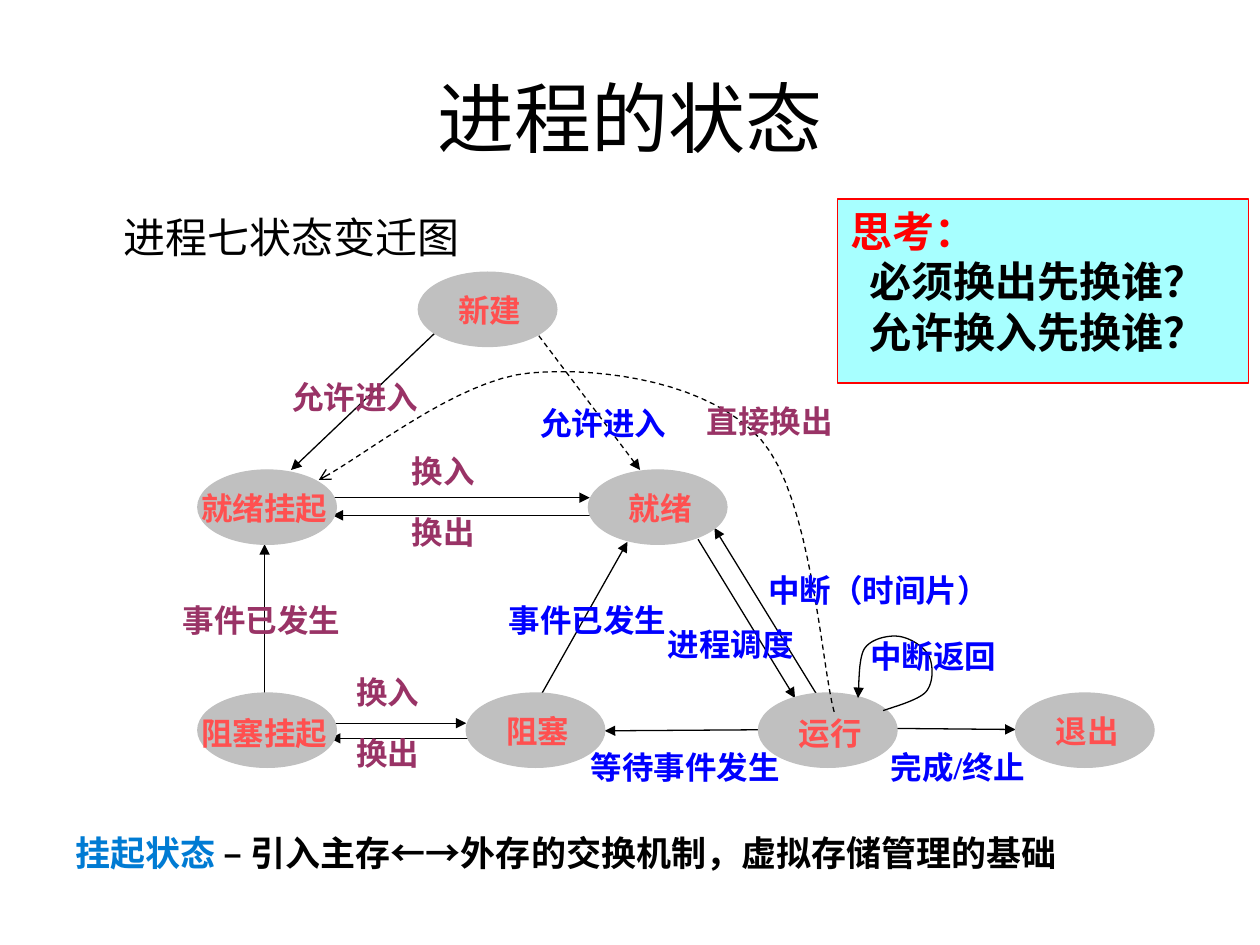
from dataclasses import dataclass

from lxml import etree
from pptx import Presentation
from pptx.dml.color import RGBColor
from pptx.enum.dml import MSO_LINE
from pptx.enum.shapes import MSO_CONNECTOR, MSO_SHAPE
from pptx.enum.text import MSO_ANCHOR, PP_ALIGN
from pptx.oxml.ns import qn
from pptx.util import Inches, Pt

DASH = MSO_LINE.DASH
STRAIGHT = MSO_CONNECTOR.STRAIGHT
OVAL, RECT = MSO_SHAPE.OVAL, MSO_SHAPE.RECTANGLE
TOP, MIDDLE = MSO_ANCHOR.TOP, MSO_ANCHOR.MIDDLE
LEFT, CENTER, JUSTIFY = PP_ALIGN.LEFT, PP_ALIGN.CENTER, PP_ALIGN.JUSTIFY

HUES = {
    "black": "000000", "gray": "C0C0C0", "plum": "993366", "blue": "0000FF",
    "coral": "FF5050", "red": "FF0000", "aqua": "A7FFFF", "sky": "007BD3",
}
SERIF, SANS, HAN = "Times New Roman", "Roboto", "Noto Sans CJK SC"
WIDE, HIGH = 1.1, 0.59
STEPS = 16

Point = tuple[float, float]


@dataclass
class State:
    name: str
    x: float
    y: float
    drop: float = 0.1


@dataclass
class Arrow:
    start: Point
    end: Point
    dash: bool = False


@dataclass
class Label:
    text: str
    x: float
    y: float
    wide: float
    hue: str


@dataclass
class Curve:
    points: list[Point]
    head: str
    dash: bool = False


STATES = [
    State("新建", 3.32, 2.16),
    State("就绪挂起", 1.57, 3.73),
    State("就绪", 4.67, 3.73),
    State("阻塞挂起", 1.57, 5.5, 0.12),
    State("阻塞", 3.7, 5.5),
    State("运行", 6.02, 5.5, 0.12),
    State("退出", 8.06, 5.5),
]
ARROWS = [
    Arrow((5.05, 4.09), (2.64, 4.09)),
    Arrow((2.59, 3.95), (4.68, 3.95)),
    Arrow((3.76, 2.35), (2.31, 3.73)),
    Arrow((2.39, 5.74), (3.7, 5.74)),
    Arrow((3.94, 5.86), (2.62, 5.86)),
    Arrow((2.1, 5.5), (2.1, 4.32)),
    Arrow((4.19, 2.55), (5.08, 3.73), True),
    Arrow((4.19, 5.7), (4.98, 4.3)),
    Arrow((5.54, 4.28), (6.31, 5.54)),
    Arrow((6.53, 5.59), (5.67, 4.19)),
    Arrow((6.33, 5.79), (4.8, 5.8)),
    Arrow((6.97, 5.78), (8.06, 5.79)),
]
LABELS = [
    Label("事件已发生", 1.35, 4.72, 1.75, "plum"),
    Label("换入", 2.73, 5.29, 0.8, "plum"),
    Label("换出", 2.73, 5.78, 0.8, "plum"),
    Label("换入", 3.17, 3.54, 0.8, "plum"),
    Label("换出", 3.17, 4.02, 0.8, "plum"),
    Label("允许进入", 2.22, 2.95, 1.31, "plum"),
    Label("直接换出", 5.51, 3.14, 1.24, "plum"),
    Label("允许进入", 4.19, 3.16, 1.75, "blue"),
    Label("进程调度", 5.2, 4.91, 1.31, "blue"),
    Label("中断（时间片）", 6, 4.48, 2.35, "blue"),
    Label("事件已发生", 3.94, 4.72, 1.75, "blue"),
    Label("等待事件发生", 4.59, 5.89, 1.75, "blue"),
    Label("完成/终止", 6.97, 5.89, 1.46, "blue"),
    Label("中断返回", 6.81, 5.01, 1.31, "blue"),
]
CURVES = [
    Curve([(6.62, 5.65), (6.52, 5.29), (6.44, 3.94), (6.04, 3.49),
           (5.64, 3.04), (4.8, 2.91), (4.21, 2.96),
           (3.63, 3.01), (2.88, 3.63), (2.53, 3.81)], "arrow", True),
    Curve([(7.01, 5.64), (7.06, 5.62), (7.29, 5.56), (7.35, 5.49),
           (7.41, 5.42), (7.41, 5.28), (7.37, 5.2),
           (7.33, 5.13), (7.22, 5.06), (7.13, 5.05),
           (7.05, 5.04), (6.91, 5.07), (6.86, 5.15),
           (6.81, 5.23), (6.82, 5.46), (6.81, 5.54)], "triangle"),
]


def paint(hue: str) -> RGBColor:
    return RGBColor.from_string(HUES[hue])


def write(frame, lines, *, size=18, font=SERIF, bold=True, align=JUSTIFY,
          anchor=TOP, inset=0, space=None) -> None:
    frame.word_wrap = True
    frame.vertical_anchor = anchor
    for i, runs in enumerate(lines):
        para = frame.add_paragraph() if i else frame.paragraphs[0]
        para.alignment = align
        para.line_spacing = space
        if i and inset:
            para._p.get_or_add_pPr().set("marL", str(Inches(inset)))
        for text, hue in runs:
            run = para.add_run()
            run.text = text
            run.font.size = Pt(size)
            run.font.bold = bold
            run.font.color.rgb = paint(hue)
            run.font.name = font
            east = etree.SubElement(run.font._element, qn("a:ea"))
            east.set("typeface", HAN)


def put(slide, x: float, y: float, wide: float, high: float, lines,
        **style) -> None:
    box = slide.shapes.add_textbox(*map(Inches, (x, y, wide, high)))
    write(box.text_frame, lines, **style)


def stroke(shape, head: str, dash: bool) -> None:
    line = shape.line
    line.color.rgb = paint("black")
    line.width = Pt(0.75)
    if dash:
        line.dash_style = DASH
    tail = etree.SubElement(line._get_or_add_ln(), qn("a:tailEnd"))
    tail.set("type", head)


def link(slide, arrow: Arrow) -> None:
    ends = map(Inches, arrow.start + arrow.end)
    line = slide.shapes.add_connector(STRAIGHT, *ends)
    stroke(line, "triangle", arrow.dash)
    etree.SubElement(line._element.spPr, qn("a:effectLst"))


def blend(a: float, b: float, c: float, d: float, t: float) -> float:
    u = 1 - t
    return a * u**3 + 3 * b * u * u * t + 3 * c * u * t * t + d * t**3


def bend(slide, curve: Curve) -> None:
    pts = curve.points
    path = []
    for i in range(0, len(pts) - 1, 3):
        xs, ys = zip(*pts[i:i + 4])
        for k in range(1, STEPS + 1):
            t = k / STEPS
            path.append((Inches(blend(*xs, t)), Inches(blend(*ys, t))))
    form = slide.shapes.build_freeform(*map(Inches, pts[0]))
    form.add_line_segments(path, close=False)
    shape = form.convert_to_shape()
    shape.shadow.inherit = False
    shape.fill.background()
    stroke(shape, curve.head, curve.dash)


def block(slide, kind, x: float, y: float, wide: float, high: float,
          fill: str, edge: str):
    shape = slide.shapes.add_shape(kind, *map(Inches, (x, y, wide, high)))
    shape.shadow.inherit = False
    shape.fill.solid()
    shape.fill.fore_color.rgb = paint(fill)
    shape.line.color.rgb = paint(edge)
    shape.line.width = Pt(0.75)
    return shape


def node(slide, state: State) -> None:
    block(slide, OVAL, state.x, state.y, WIDE, HIGH, "gray", "gray")
    shift, wide = (0.22, 1.1) if len(state.name) == 2 else (-0.07, 1.46)
    put(slide, state.x + shift, state.y + state.drop, wide, HIGH,
        [[(state.name, "coral")]])


def main() -> None:
    deck = Presentation()
    deck.slide_width, deck.slide_height = Inches(10), Inches(7.5)
    slide = deck.slides.add_slide(deck.slide_layouts[6])
    put(slide, 0.5, 0.3, 9, 1.25, [[("进程的状态", "black")]],
        size=44, bold=False, align=CENTER, anchor=MIDDLE)
    put(slide, 0.88, 1.63, 7.8, 0.66, [[("进程七状态变迁图", "black")]],
        size=24, font=SANS, bold=False, align=LEFT)
    for arrow in ARROWS:
        link(slide, arrow)
    for state in STATES:
        node(slide, state)
    for curve in CURVES:
        bend(slide, curve)
    for label in LABELS:
        put(slide, label.x, label.y, label.wide, HIGH,
            [[(label.text, label.hue)]])
    put(slide, 0.5, 6.45, 9.31, 0.73,
        [[("挂起状态 ", "sky"),
          ("– 引入主存←→外存的交换机制，虚拟存储管理的基础", "black")]],
        size=20, font=HAN, align=LEFT, space=1.3)
    panel = block(slide, RECT, 6.65, 1.58, 3.26, 1.46, "aqua", "red")
    write(panel.text_frame,
          [[("思考：", "red")], [("必须换出先换谁？", "black")],
           [("允许换入先换谁？", "black")]],
          size=24, font=HAN, align=LEFT, inset=0.15)
    deck.save("out.pptx")


if __name__ == "__main__":
    main()
